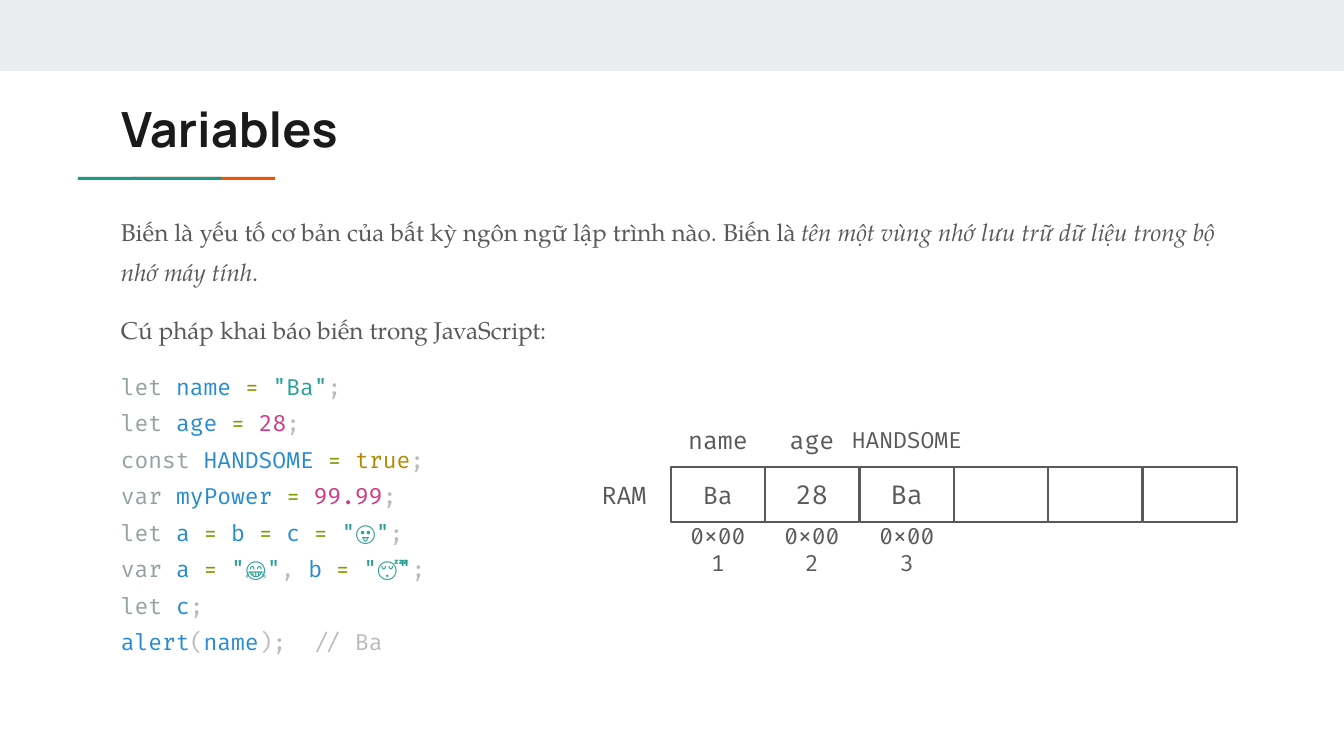
from pptx import Presentation
from pptx.dml.color import RGBColor
from pptx.enum.shapes import MSO_SHAPE
from pptx.enum.text import MSO_ANCHOR, MSO_AUTO_SIZE, PP_ALIGN
from pptx.util import Pt

EMU_PER_PX = 914400 / 134.4
SANS, SERIF, MONO = "Manrope", "TeX Gyre Pagella", "Fira Code"
COLORS = {
    "band": "E9EDEE", "teal": "1A9988", "orange": "EB5600",
    "title": "1A1A1A", "text": "595959",
    "keyword": "93A1A1", "name": "268BD2", "operator": "859900",
    "string": "2AA198", "number": "D33682", "boolean": "B58900",
    "mark": "BBBBBB",
}

INTRO = [
    [("Biến là yếu tố cơ bản của bất kỳ ngôn ngữ lập trình nào. Biến là ", False),
     ("tên một vùng nhớ lưu trữ dữ liệu trong bộ nhớ máy tính", True),
     (".", False)],
    [("Cú pháp khai báo biến trong JavaScript:", False)],
]
EQUALS, END = ("= ", "operator"), (";", "mark")
LET, VAR, CONST = [(word, "keyword") for word in ("let ", "var ", "const ")]
A, B, C = [(letter + " ", "name") for letter in "abc"]
CODE = [
    [LET, ("name ", "name"), EQUALS, ('"Ba"', "string"), END],
    [LET, ("age ", "name"), EQUALS, ("28", "number"), END],
    [CONST, ("HANDSOME ", "name"), EQUALS, ("true", "boolean"), END],
    [VAR, ("myPower ", "name"), EQUALS, ("99.99", "number"), END],
    [LET, A, EQUALS, B, EQUALS, C, EQUALS, ('"😛"', "string"), END],
    [VAR, A, EQUALS, ('"😂"', "string"), (", ", "mark"),
     B, EQUALS, ('"😴"', "string"), END],
    [LET, ("c", "name"), END],
    [("alert", "name"), ("(", "mark"), ("name", "name"), (");  // Ba", "mark")],
]


def px(length):
    return round(length * EMU_PER_PX)


def color(name):
    return RGBColor.from_string(COLORS[name])


class SlideBuilder:
    def __init__(self, page):
        self.page = page

    def style(self, para, font, size, ink=None, bold=None):
        para.font.name = font
        para.font.size = Pt(size)
        para.font.bold = bold
        if ink:
            para.font.color.rgb = color(ink)

    def frame(self, box, anchor):
        frame = box.text_frame
        frame.word_wrap = True
        frame.auto_size = MSO_AUTO_SIZE.NONE
        frame.vertical_anchor = anchor
        frame.margin_left = frame.margin_right = px(13)
        frame.margin_top = frame.margin_bottom = px(13)
        return frame

    def rect(self, left, top, width, height, fill=None, line=None):
        box = self.page.shapes.add_shape(
            MSO_SHAPE.RECTANGLE, px(left), px(top), px(width), px(height))
        box.shadow.inherit = False
        if fill:
            box.fill.solid()
            box.fill.fore_color.rgb = color(fill)
        else:
            box.fill.background()
        if line:
            box.line.color.rgb = color(line)
            box.line.width = Pt(0.75)
        else:
            box.line.fill.background()
        return box

    def text_box(self, left, top, width, height):
        return self.page.shapes.add_textbox(
            px(left), px(top), px(width), px(height))

    def title(self, text, left, top, width, height):
        box = self.page.shapes.title
        box.left, box.top = px(left), px(top)
        box.width, box.height = px(width), px(height)
        para = self.frame(box, MSO_ANCHOR.TOP).paragraphs[0]
        para.text = text
        para.alignment = PP_ALIGN.LEFT
        self.style(para, SANS, 26, "title", True)

    def centered(self, box, text, size):
        para = self.frame(box, MSO_ANCHOR.MIDDLE).paragraphs[0]
        para.text = text
        para.alignment = PP_ALIGN.CENTER
        self.style(para, MONO, size, "text")

    def label(self, text, size, left, top, width, height):
        self.centered(self.text_box(left, top, width, height), text, size)

    def body(self, intro, code, left, top, width, height):
        frame = self.frame(self.text_box(left, top, width, height), MSO_ANCHOR.TOP)
        for index, parts in enumerate(intro + code):
            para = frame.paragraphs[0] if index == 0 else frame.add_paragraph()
            para.line_spacing = 1.36
            is_code = index >= len(intro)
            spaced = 0 < index <= len(intro)
            para.space_before = Pt(10 if spaced else 0)
            if is_code:
                self.style(para, MONO, 12)
            else:
                self.style(para, SERIF, 13, "text")
            for text, kind in parts:
                span = para.add_run()
                span.text = text
                if is_code:
                    span.font.color.rgb = color(kind)
                elif kind:
                    span.font.italic = True


def main():
    deck = Presentation()
    deck.slide_width, deck.slide_height = px(1344), px(756)
    builder = SlideBuilder(deck.slides.add_slide(deck.slide_layouts[5]))

    # Top band and two-colour rule
    builder.rect(0, 0, 1344, 71, "band")
    builder.rect(132, 177, 143, 3, "orange")
    builder.rect(78, 177, 143, 3, "teal")

    # Title, explanation and code
    builder.title("Variables", 108, 86, 1130, 79)
    builder.body(INTRO, CODE, 108, 194, 1130, 527)

    # Memory cells, with names above and addresses below
    left, top, height, columns, total = 671, 467, 55, 6, 566
    width = round(total / columns)
    values = [("Ba", 13), ("28", 14), ("Ba", 14)]
    names = [("name", 13, width), ("age", 13, width), ("HANDSOME", 12, 166)]
    for column in range(columns):
        x = left + round(column * total / columns)
        cell = builder.rect(x, top, width, height, line="text")
        if column < len(values):
            builder.centered(cell, *values[column])
            name, size, name_width = names[column]
            builder.label(name, size, x + (width - name_width) // 2,
                          top - height, name_width, height)
            builder.label(f"0x00{column + 1}", 12, x, top + height, width, height)
    builder.label("RAM", 13, left - width, top, width, height)

    deck.save("out.pptx")


if __name__ == "__main__":
    main()
